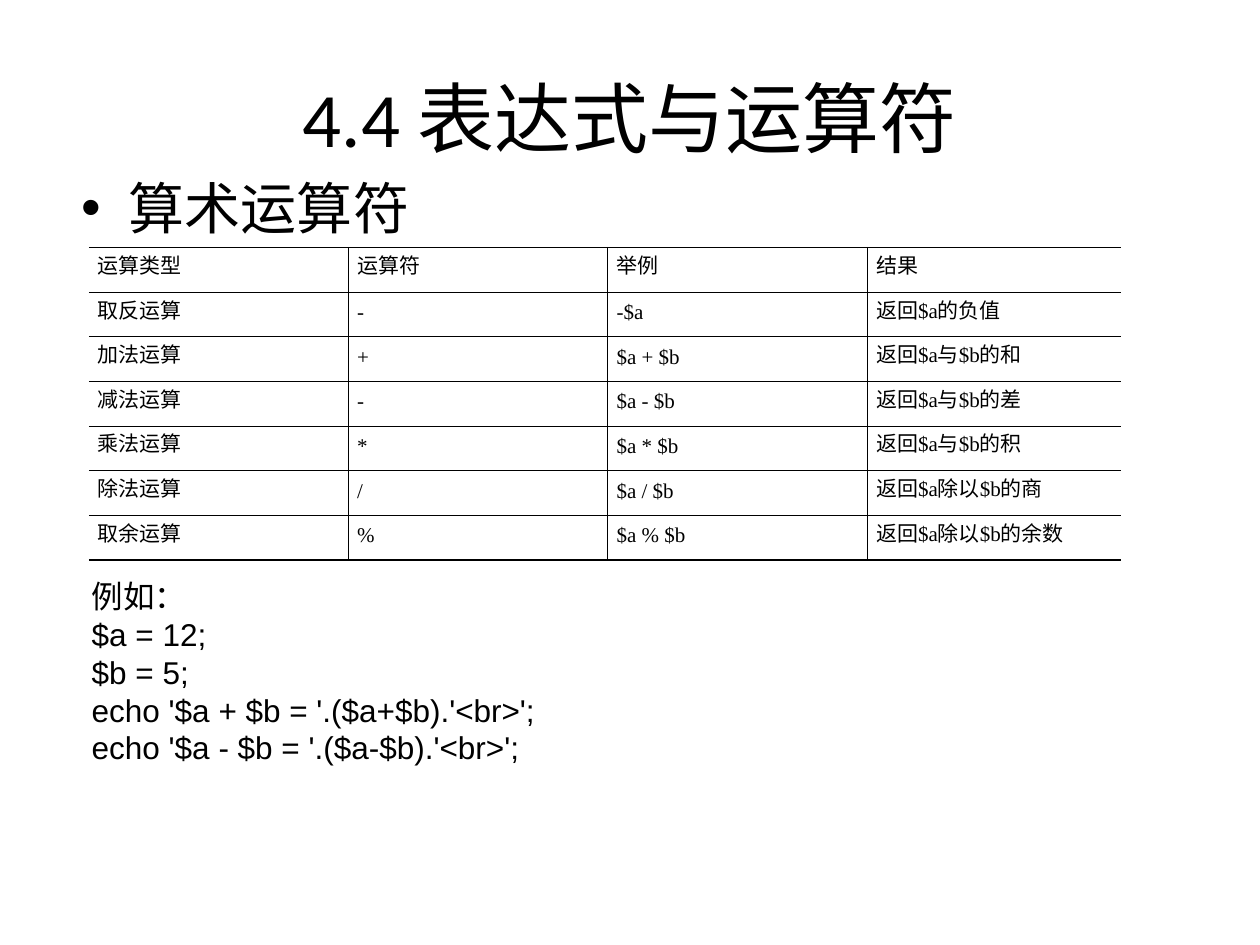
from dataclasses import dataclass

from lxml import etree
from pptx import Presentation, util as u
from pptx.dml import color
from pptx.enum import text
from pptx.oxml import ns

BLACK = "000000"
COLUMN_WIDTHS = (5.23, 5.23, 5.23, 5.11)
ROW_HEIGHT = 0.9
THIN, THICK = 0.45, 0.75


@dataclass(frozen=True)
class Operator:
    kind: str
    symbol: str
    example: str
    result: str

    def cells(self) -> tuple[str, ...]:
        return self.kind, self.symbol, self.example, self.result


@dataclass(frozen=True)
class Box:
    left: float
    top: float
    width: float
    height: float

    def lengths(self) -> tuple[u.Length, ...]:
        return tuple(u.Cm(side) for side in (self.left, self.top, self.width, self.height))


OPERATORS = (
    Operator("运算类型", "运算符", "举例", "结果"),
    Operator("取反运算", "-", "-$a", "返回$a的负值"),
    Operator("加法运算", "+", "$a + $b", "返回$a与$b的和"),
    Operator("减法运算", "-", "$a - $b", "返回$a与$b的差"),
    Operator("乘法运算", "*", "$a * $b", "返回$a与$b的积"),
    Operator("除法运算", "/", "$a / $b", "返回$a除以$b的商"),
    Operator("取余运算", "%", "$a % $b", "返回$a除以$b的余数"),
)
CODE_LINES = (
    "例如：",
    "$a = 12;",
    "$b = 5;",
    "echo '$a + $b = '.($a+$b).'<br>';",
    "echo '$a - $b = '.($a-$b).'<br>';",
)


def rgb(value: str) -> color.RGBColor:
    return color.RGBColor.from_string(value)


def write_text(frame, *lines: str, size: float, font: str, align=text.PP_ALIGN.LEFT,
               anchor=text.MSO_ANCHOR.TOP, spacing=None, before=None) -> None:
    frame.word_wrap = True
    frame.vertical_anchor = anchor
    for index, line in enumerate(lines):
        paragraph = frame.add_paragraph() if index else frame.paragraphs[0]
        paragraph.alignment = align
        paragraph.line_spacing = spacing
        paragraph.space_before = before
        run = paragraph.add_run()
        run.text = line
        run.font.size = u.Pt(size)
        run.font.name = font
        run.font.color.rgb = rgb(BLACK)


def add_text(slide, box: Box, *lines: str, **text_format):
    shape = slide.shapes.add_textbox(*box.lengths())
    write_text(shape.text_frame, *lines, **text_format)
    return shape


def add_bullet(paragraph, indent: float) -> None:
    properties = paragraph._p.get_or_add_pPr()
    properties.set("marL", str(u.Cm(indent)))
    properties.set("indent", str(-u.Cm(indent)))
    etree.SubElement(properties, ns.qn("a:buFont"), typeface="Arial")
    etree.SubElement(properties, ns.qn("a:buChar"), char="•")


def set_border(cell, side: str, width: float) -> None:
    line = etree.SubElement(cell._tc.get_or_add_tcPr(), ns.qn(f"a:ln{side}"))
    if not width:
        etree.SubElement(line, ns.qn("a:noFill"))
        return
    line.set("w", str(u.Pt(width)))
    fill = etree.SubElement(line, ns.qn("a:solidFill"))
    etree.SubElement(fill, ns.qn("a:srgbClr"), val=BLACK)


def add_operator_table(slide, left: float, top: float) -> None:
    last_row, last_column = len(OPERATORS) - 1, len(COLUMN_WIDTHS) - 1
    box = Box(left, top, sum(COLUMN_WIDTHS), ROW_HEIGHT * len(OPERATORS))
    table = slide.shapes.add_table(last_row + 1, last_column + 1, *box.lengths()).table
    table.first_row = table.horz_banding = False
    for column, width in zip(table.columns, COLUMN_WIDTHS):
        column.width = u.Cm(width)
    for row, operator in enumerate(OPERATORS):
        table.rows[row].height = u.Cm(ROW_HEIGHT)
        for column, label in enumerate(operator.cells()):
            cell = table.cell(row, column)
            write_text(cell.text_frame, label, size=12, font="Times New Roman",
                       align=text.PP_ALIGN.JUSTIFY, spacing=u.Pt(11))
            cell.vertical_anchor = text.MSO_ANCHOR.MIDDLE
            cell.margin_left = cell.margin_right = u.Cm(0.18)
            cell.margin_top = cell.margin_bottom = u.Cm(0.13)
            set_border(cell, "L", THIN if column else 0)
            set_border(cell, "R", THIN if column < last_column else 0)
            set_border(cell, "T", THIN if row else THICK)
            set_border(cell, "B", THIN if row < last_row else THICK)
            cell.fill.background()


def main() -> None:
    """Build the slide on arithmetic operators."""
    presentation = Presentation()
    presentation.slide_width, presentation.slide_height = u.Cm(25.4), u.Cm(19.05)
    slide = presentation.slides.add_slide(presentation.slide_layouts[6])
    add_text(slide, Box(1.27, 0.76, 22.86, 3.18), "4.4 表达式与运算符", size=44, font="Calibri",
             align=text.PP_ALIGN.CENTER, anchor=text.MSO_ANCHOR.MIDDLE)
    heading = add_text(slide, Box(1.4, 3.38, 22.86, 5.16), "算术运算符", size=32, font="Arial",
                       before=u.Pt(8))
    add_bullet(heading.text_frame.paragraphs[0], 0.95)
    add_operator_table(slide, 1.79, 4.99)
    add_text(slide, Box(1.6, 11.51, 16.46, 4.83), *CODE_LINES, size=18, font="Arial")
    presentation.save("out.pptx")


if __name__ == "__main__":
    main()
